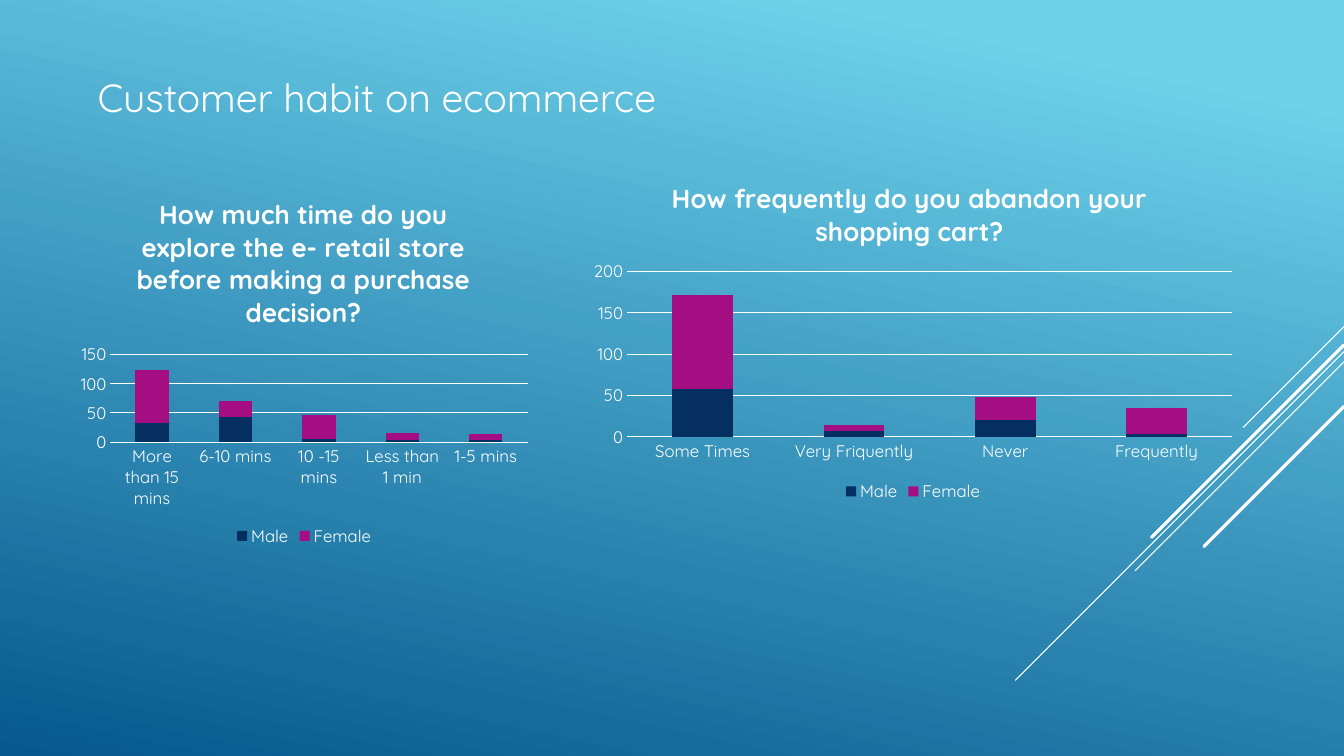
from lxml import etree
from pptx import Presentation
from pptx import util as u
from pptx.chart import data
from pptx.dml import color
from pptx.enum import chart as ch, shapes, text
from pptx.oxml import ns

Cm, Pt = u.Cm, u.Pt
FONT = "Quicksand"
COLORS = {
    "white": "FFFFFF",
    "sky": "6ED2EB",
    "deep": "06588E",
    "Male": "052F61",
    "Female": "A50E82",
    "Series 3": "14967C",
}


def style_font(font, size, bold=False):
    font.name, font.size, font.bold = FONT, Pt(size), bold
    font.color.rgb = color.RGBColor.from_string(COLORS["white"])


def place(parent, index, target=None, **fractions):
    """Put a chart part at fractions of the chart's width and height."""
    for old in parent.findall(ns.qn("c:layout")):
        parent.remove(old)
    layout = etree.Element(ns.qn("c:layout"))
    manual = etree.SubElement(layout, ns.qn("c:manualLayout"))
    if target:
        etree.SubElement(manual, ns.qn("c:layoutTarget")).set("val", target)
    for key in "xy":
        etree.SubElement(manual, ns.qn(f"c:{key}Mode")).set("val", "edge")
    for key, value in fractions.items():
        etree.SubElement(manual, ns.qn(f"c:{key}")).set("val", str(value))
    parent.insert(index, layout)


prs = Presentation()
prs.slide_width, prs.slide_height = Cm(33.87), Cm(19.05)
s = prs.slides.add_slide(prs.slide_layouts[6])
white = color.RGBColor.from_string(COLORS["white"])

# Background gradient
fill = s.background.fill
fill.gradient()
fill.gradient_angle = 258
for stop, position, name in zip(fill.gradient_stops, (0.1, 1), ("sky", "deep")):
    stop.position = position
    stop.color.rgb = color.RGBColor.from_string(COLORS[name])

# Diagonal lines from the right edge: top, horizontal run, width
for top, run, width in [
    (8.23, 2.54, 0.75),
    (8.86, 8.28, 0.75),
    (9.12, 5.26, 0.75),
    (8.69, 4.85, 2.25),
    (10.24, 3.53, 2.25),
]:
    line = s.shapes.add_connector(
        shapes.MSO_CONNECTOR.STRAIGHT,
        Cm(33.87), Cm(top), Cm(33.87 - run), Cm(top + run),
    )
    line.line.color.rgb = white
    line.line.width = Pt(width)
    line.line._get_or_add_ln().set("cap", "rnd")
    etree.SubElement(line._element.spPr, ns.qn("a:effectLst"))

# Slide title
sp = s.shapes.add_textbox(Cm(2.21), Cm(1.73), Cm(16.97), Cm(1.45))
tf = sp.text_frame
tf.word_wrap = True
tf.auto_size = text.MSO_AUTO_SIZE.SHAPE_TO_FIT_TEXT
tf.text = "Customer habit on ecommerce"
style_font(tf.paragraphs[0].runs[0].font, 28)

# Survey charts; the third series has no answers
surveys = [
    {
        "title": "How much time do you explore the e- retail store "
                 "before making a purchase decision?",
        "box": (1.8, 4.42, 11.73, 9.45),
        "plot_at": {"target": "outer", "x": 0.02, "y": 0.45, "w": 0.96, "h": 0.44},
        "top": 150,
        "cats": ["More than 15 mins", "6-10 mins", "10 -15 mins",
                 "Less than 1 min", "1-5 mins"],
        "Male": (32, 43, 5, 3, 3),
        "Female": (91, 28, 41, 12, 11),
    },
    {
        "title": "How frequently do you abandon your shopping cart?",
        "box": (14.63, 4.06, 16.76, 8.69),
        "plot_at": {"target": "inner", "x": 0.07, "y": 0.32, "w": 0.91, "h": 0.48},
        "top": 200,
        "cats": ["Some Times", "Very Friquently", "Never", "Frequently"],
        "Male": (58, 7, 20, 3),
        "Female": (113, 7, 28, 32),
    },
]
for survey in surveys:
    chart_data = data.CategoryChartData()
    chart_data.categories = survey["cats"]
    for name in ("Male", "Female", "Series 3"):
        chart_data.add_series(name, survey.get(name, [None] * len(survey["cats"])))
    chart = s.shapes.add_chart(
        ch.XL_CHART_TYPE.COLUMN_STACKED, *map(Cm, survey["box"]), chart_data
    ).chart
    style_font(chart.font, 10)

    # Chart title
    tf = chart.chart_title.text_frame
    tf.text = survey["title"]
    style_font(tf.paragraphs[0].runs[0].font, 18.6, bold=True)
    chart.chart_title.include_in_layout = False
    place(chart.chart_title._element, 1, x=0.13, y=0.04)

    # Columns
    plot = chart.plots[0]
    plot.gap_width, plot.overlap = 150, 100
    plot.vary_by_categories = False
    for series in plot.series:
        series.format.fill.solid()
        series.format.fill.fore_color.rgb = color.RGBColor.from_string(COLORS[series.name])
    place(chart._chartSpace.chart.plotArea, 0, **survey["plot_at"])

    # Axes
    for axis in (chart.category_axis, chart.value_axis):
        axis.major_tick_mark = axis.minor_tick_mark = ch.XL_TICK_MARK.NONE
        style_font(axis.tick_labels.font, 12)
    values = chart.value_axis
    values.minimum_scale, values.maximum_scale, values.major_unit = 0, survey["top"], 50
    values.format.line.fill.background()
    for rule in (chart.category_axis.format.line, values.major_gridlines.format.line):
        rule.color.rgb = white
        rule.width = Pt(0.75)

    # Legend without the empty series
    chart.has_legend = True
    chart.legend.position = ch.XL_LEGEND_POSITION.BOTTOM
    chart.legend.include_in_layout = False
    style_font(chart.legend.font, 12)
    entry = etree.Element(ns.qn("c:legendEntry"))
    etree.SubElement(entry, ns.qn("c:idx")).set("val", "2")
    etree.SubElement(entry, ns.qn("c:delete")).set("val", "1")
    chart.legend._element.insert(1, entry)

prs.save("out.pptx")
